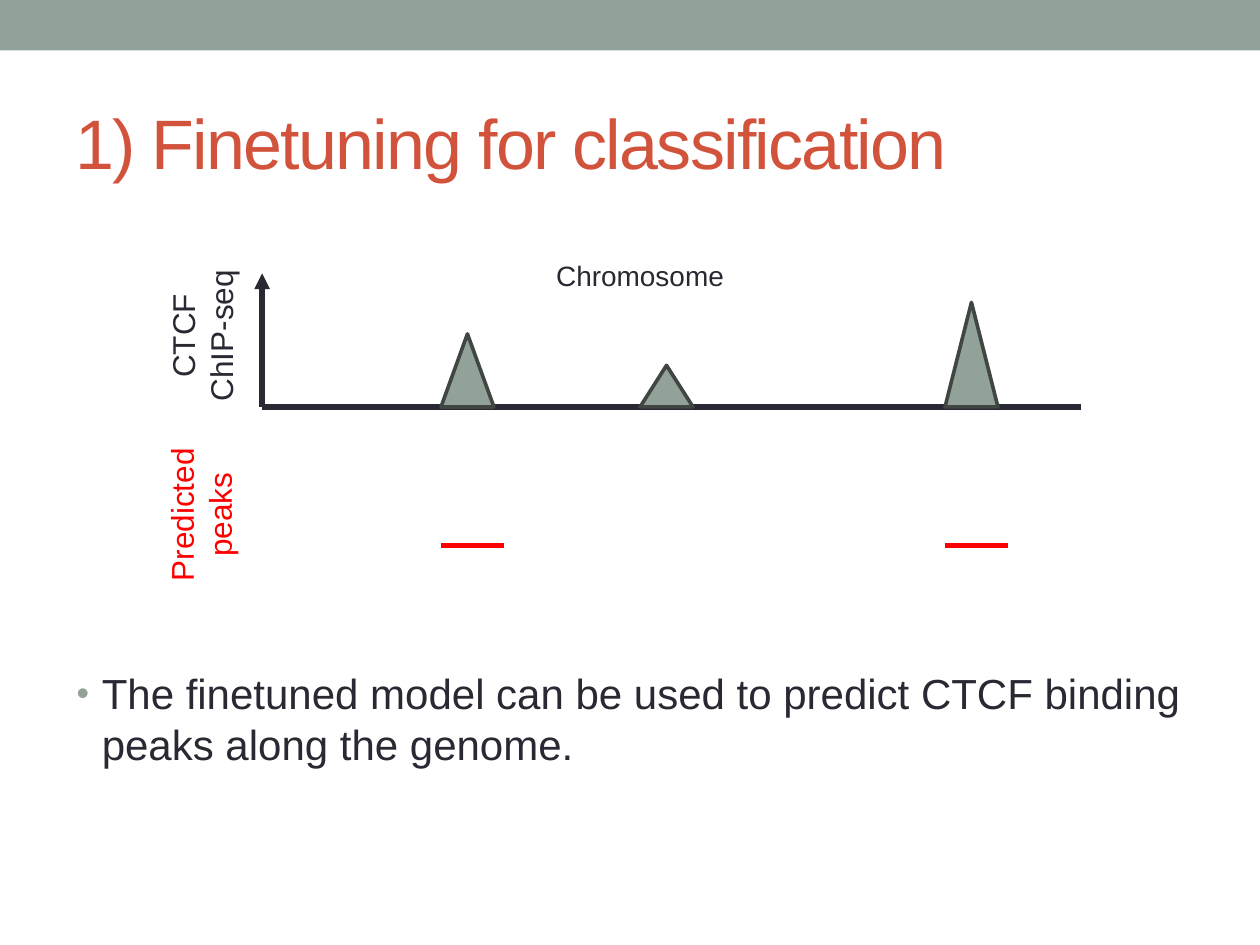
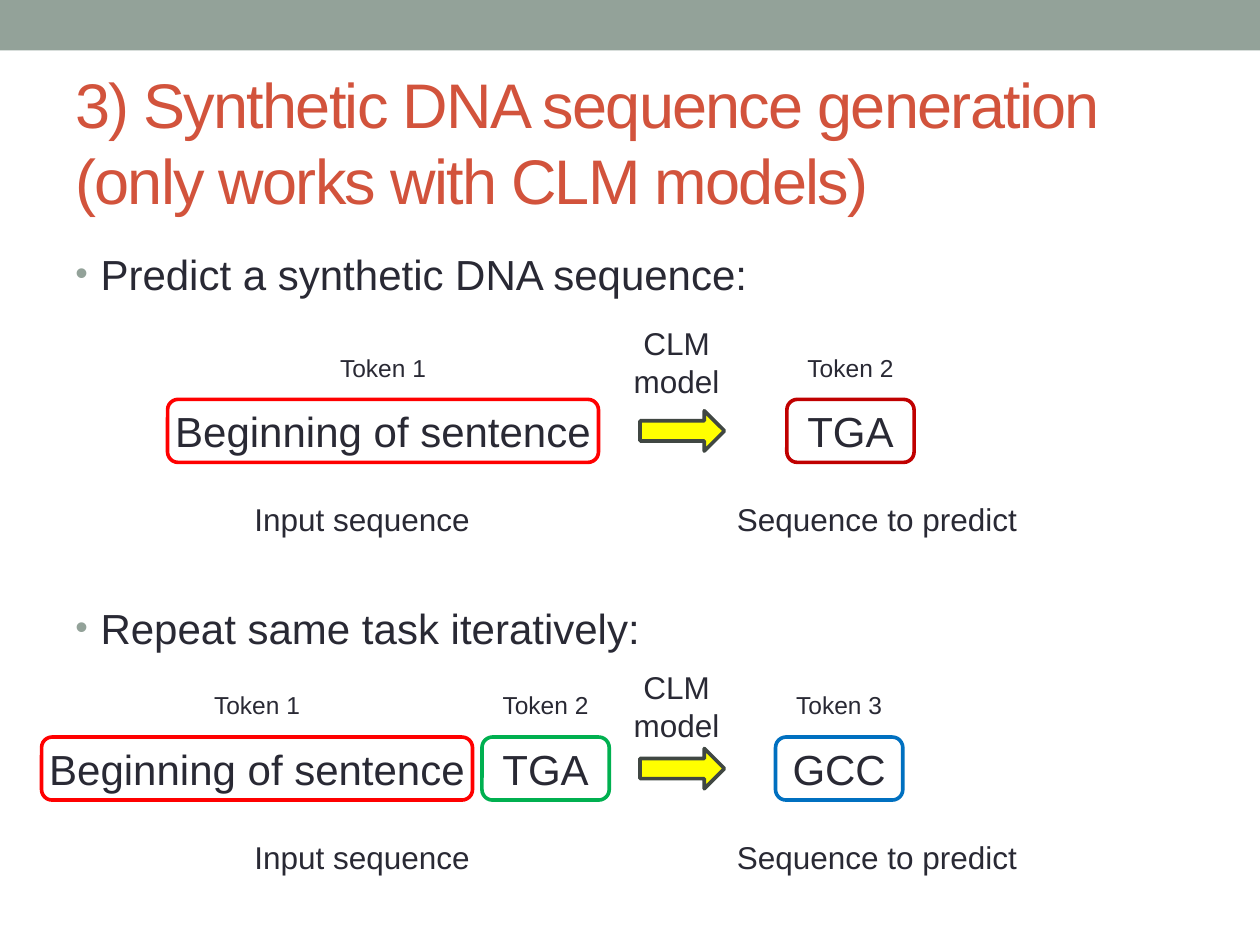
from pptx import Presentation, util as u
from pptx.dml.color import RGBColor
from pptx.enum import shapes as sh, text as tx
from pptx.oxml.ns import qn
from lxml import etree

FONT = "Arial"
SAGE, RUST, INK, EDGE = "93A299", "D2533C", "292934", "404743"
RED, YELLOW = "FF0000", "FFFF00"
WIDE, HIGH = 10, 7.5

PEAKS = [(3.5, 0.58), (5.08, 0.33), (7.5, 0.83)]
CALLS = [3.5, 7.5]
LEFT, BASE, RIGHT, TOP = 2.08, 3.23, 8.58, 2.17
SIDES = [
    (0.94, 2.31, ["CTCF", "ChIP-seq"], INK),
    (0.93, 3.73, ["Predicted", "peaks"], RED),
]

START = "Beginning of sentence"
STEPS = [
    {
        "top": 3.17, "bullet": (1.92, "Predict a synthetic DNA sequence:"), "model": 2.52,
        "tokens": [
            (3.04, 3.42, START, "Token 1", RED),
            (6.75, 1.01, "TGA", "Token 2", "C00000"),
        ],
    },
    {
        "top": 5.85, "bullet": (4.73, "Repeat same task iteratively:"), "model": 5.25,
        "tokens": [
            (2.04, 3.42, START, "Token 1", RED),
            (4.33, 1.01, "TGA", "Token 2", "00B050"),
            (6.66, 1.01, "GCC", "Token 3", "0070C0"),
        ],
    },
]
NOTES = [(1.92, 2, "Input sequence"), (5.75, 2.5, "Sequence to predict")]


def color(code):
    return RGBColor.from_string(code)


def write(slide, box, lines, size, tint=INK, center=True, turn=0):
    item = slide.shapes.add_textbox(*map(u.Inches, box))
    item.rotation = turn
    frame = item.text_frame
    frame.word_wrap = True
    for i, line in enumerate(lines):
        para = frame.paragraphs[0] if i == 0 else frame.add_paragraph()
        if center:
            para.alignment = tx.PP_ALIGN.CENTER
        add_run(para, line, size, tint)
    return frame


def add_run(para, words, size, tint):
    run = para.add_run()
    run.text = words
    run.font.name = FONT
    run.font.size = u.Pt(size)
    run.font.color.rgb = color(tint)
    return run


def draw(slide, kind, box, fill=None, edge=None):
    item = slide.shapes.add_shape(kind, *map(u.Inches, box))
    item.shadow.inherit = False
    if fill:
        item.fill.solid()
        item.fill.fore_color.rgb = color(fill)
    else:
        item.fill.background()
    if edge:
        item.line.color.rgb = color(edge)
        item.line.width = u.Pt(2.08)
    else:
        item.line.fill.background()


def rule(slide, start, end, tint, head=False):
    item = slide.shapes.add_connector(sh.MSO_CONNECTOR.STRAIGHT, *map(u.Inches, start + end))
    item.line.color.rgb = color(tint)
    item.line.width = u.Pt(3)
    etree.SubElement(item.element.spPr, qn("a:effectLst"))
    if head:
        line = item.line._get_or_add_ln()
        etree.SubElement(line, qn("a:tailEnd"), type="triangle")


def bullet(slide, left, top, words, high):
    frame = write(slide, (left, top, 9, high), [words], 24, center=False)
    props = frame.paragraphs[0]._p.get_or_add_pPr()
    props.set("marL", str(u.Inches(0.2)))
    props.set("indent", str(u.Inches(-0.2)))
    tint = etree.SubElement(props, qn("a:buClr"))
    etree.SubElement(tint, qn("a:srgbClr"), val=SAGE)
    etree.SubElement(props, qn("a:buSzPct"), val="85000")
    etree.SubElement(props, qn("a:buFont"), typeface=FONT)
    etree.SubElement(props, qn("a:buChar"), char="•")


def start(deck, lines, size):
    slide = deck.slides.add_slide(deck.slide_layouts[6])
    draw(slide, sh.MSO_SHAPE.RECTANGLE, (0, 0, WIDE, 0.4), SAGE)
    frame = write(slide, (0.5, 0.58, 9, 1.08), [], size)
    frame.vertical_anchor = tx.MSO_ANCHOR.MIDDLE
    para = frame.paragraphs[0]
    for i, line in enumerate(lines):
        if i:
            para.add_line_break()
        run = add_run(para, line, size, RUST)
        run.font._element.set("spc", "-100")
    return slide


def tuning(deck):
    slide = start(deck, ["1) Finetuning for classification"], 40)
    bullet(slide, 0.51, 5.25,
           "The finetuned model can be used to predict CTCF binding peaks along the genome.", 1.5)
    rule(slide, (LEFT, BASE), (RIGHT, BASE), INK)
    for x, high in PEAKS:
        draw(slide, sh.MSO_SHAPE.ISOSCELES_TRIANGLE, (x, BASE - high, 0.42, high), SAGE, EDGE)
    rule(slide, (LEFT, BASE), (LEFT, TOP), INK, head=True)
    for x, y, lines, tint in SIDES:
        write(slide, (x, y, 1.33, 0.71), lines, 18, tint, turn=270)
    for x in CALLS:
        rule(slide, (x, 4.33), (x + 0.5, 4.33), RED)
    write(slide, (4.08, 2, 2, 0.37), ["Chromosome"], 16)


def making(deck):
    slide = start(deck, ["3) Synthetic DNA sequence generation", "(only works with CLM models)"], 36)
    for step in STEPS:
        top = step["top"]
        y, words = step["bullet"]
        bullet(slide, 0.5, y, words, 0.5)
        for mid, wide, words, label, tint in step["tokens"]:
            room = wide + 0.4
            write(slide, (mid - room / 2, top, room, 0.5), [words], 24)
            draw(slide, sh.MSO_SHAPE.ROUNDED_RECTANGLE, (mid - wide / 2, top, wide, 0.5), edge=tint)
            write(slide, (mid - 0.46, top - 0.42, 0.92, 0.34), [label], 14)
        draw(slide, sh.MSO_SHAPE.RIGHT_ARROW, (5.08, top + 0.09, 0.67, 0.32), YELLOW, EDGE)
        write(slide, (4.83, step["model"], 1.08, 0.71), ["CLM model"], 18)
        for x, wide, words in NOTES:
            write(slide, (x, top + 0.75, wide, 0.4), [words], 18, center=False)


def main():
    deck = Presentation()
    deck.slide_width, deck.slide_height = u.Inches(WIDE), u.Inches(HIGH)
    tuning(deck)
    making(deck)
    deck.save("out.pptx")


if __name__ == "__main__":
    main()
